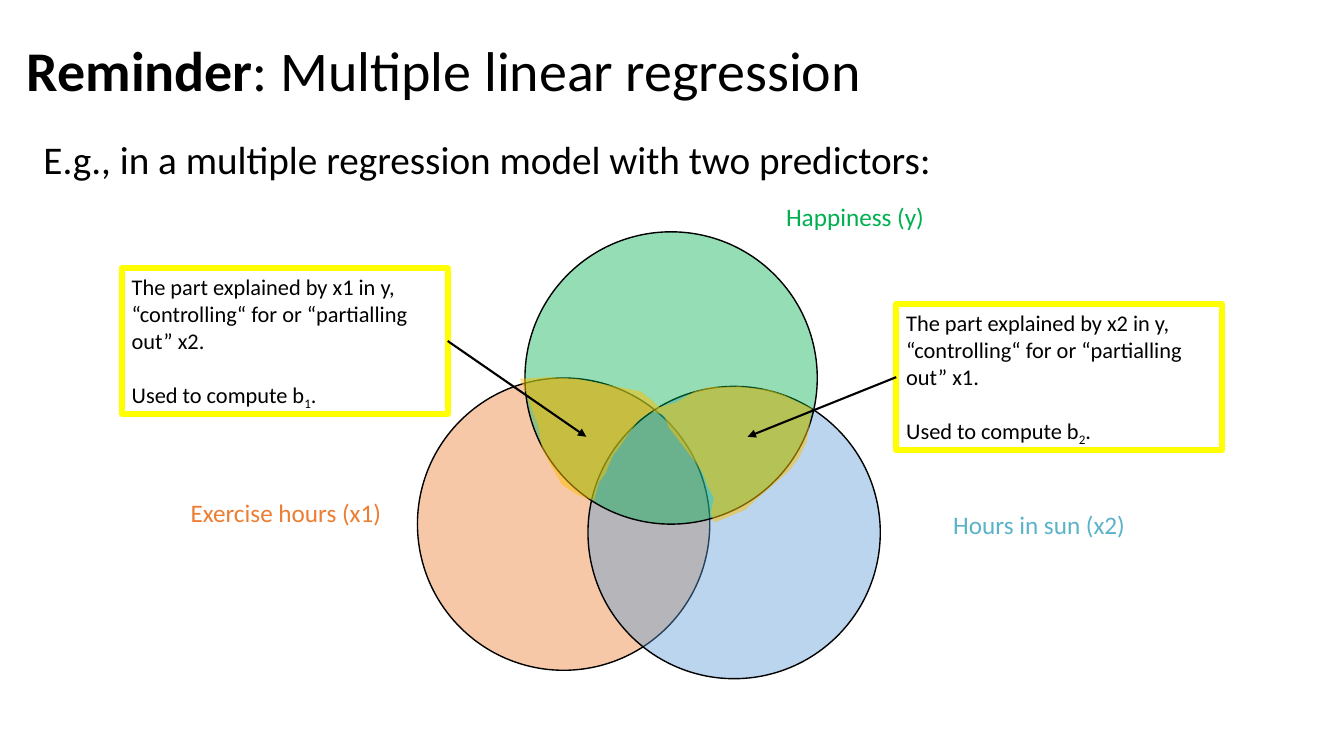
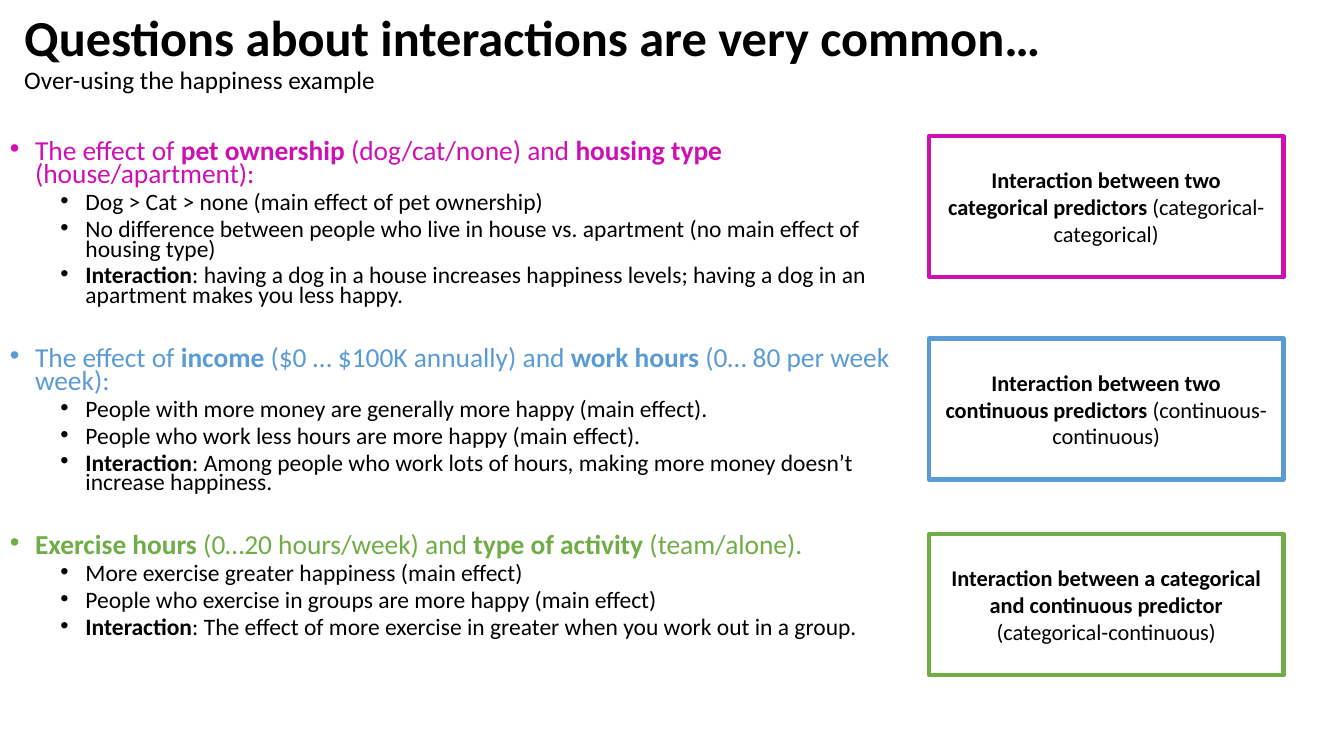
from lxml import etree
from pptx import Presentation
from pptx.dml.color import RGBColor
from pptx.enum.shapes import MSO_CONNECTOR, MSO_SHAPE
from pptx.enum.text import MSO_ANCHOR, PP_ALIGN
from pptx.oxml.ns import qn
from pptx.util import Inches, Pt

OVAL, RECT = MSO_SHAPE.OVAL, MSO_SHAPE.RECTANGLE
STRAIGHT = MSO_CONNECTOR.STRAIGHT
TOP, MIDDLE = MSO_ANCHOR.TOP, MSO_ANCHOR.MIDDLE
LEFT, CENTER = PP_ALIGN.LEFT, PP_ALIGN.CENTER
LEFT_SIDE, RIGHT_SIDE = 1, 3

# The slide is a grid of 160 columns by 90 rows of square cells.
COLUMNS, ROWS = 160, 90
CELL = Inches(1) // 12
FONT = "Calibri"
COLORS = {
    "text": "000000", "paper": "FFFFFF", "frame": "FFFF00", "marker": "FFC000",
    "orange": "ED7D31", "blue": "5B9BD5", "green": "00B050", "teal": "5BB3CA",
    "magenta": "CE10B3", "leaf": "70AD47",
}

DIAMETER = 34.8
# column, row, fill; relative to the Venn diagram's box
CIRCLES = [(0, 17.4, "orange"), (20.3, 18.4, "blue"), (12.8, 0, "green")]
CIRCLE_LABELS = [
    (-28.2, 31, 25.3, "Exercise hours (x1)", "orange"),
    (62.6, 32.4, 23.2, "Hours in sun (x2)", "teal"),
    (42.7, -4.2, 19.1, "Happiness (y)", "green"),
]
HIGHLIGHTS = [
    [(28, 21.4), (29.3, 21.8), (30, 23.4), (30.8, 24.4), (32.3, 26.4),
     (33.2, 27.5), (34, 28.8), (34.6, 30.4), (35.3, 31.7), (34.9, 33.5),
     (35.3, 34.6), (36.6, 34.1), (39, 33.1), (40.4, 31.8), (42.6, 29.9),
     (44.3, 28.4), (45.4, 26.9), (46.3, 25.1), (46.7, 22.8), (46.9, 21),
     (45.2, 20.2), (43.6, 19.4), (41.8, 18.8), (38.3, 18.4), (34.7, 18.5),
     (33, 19), (30.8, 20.3), (28.7, 20.9)],
    [(12.2, 17.5), (15.6, 17.3), (19, 17.5), (22, 18.1), (24.6, 18.6),
     (26.6, 19), (28.2, 20.3), (28.8, 20.9), (27.6, 21.5), (26.4, 22.3),
     (25.3, 23.8), (24.2, 25.4), (23.3, 26.6), (22.4, 28.7), (21.6, 29.9),
     (21, 32), (19, 31.3), (17.2, 30.1), (15.7, 27.5), (14.8, 25.7),
     (14.4, 23), (13.8, 21.6), (13, 19.3)],
]

# Text between ** marks is bold.
TOPICS = [
    ("magenta", 16.2,
     "The effect of **pet ownership **(dog/cat/none) and **housing type **(house/apartment):",
     ["Dog > Cat > none (main effect of pet ownership)",
      "No difference between people who live in house vs. apartment (no main effect of housing type)",
      "**Interaction**: having a dog in a house increases happiness levels; "
      "having a dog in an apartment makes you less happy."],
     "**Interaction between two categorical predictors **(categorical-categorical)"),
    ("blue", 40.3,
     "The effect of **income** ($0 … $100K annually) and **work hours **(0… 80 per week week):",
     ["People with more money are generally more happy (main effect).",
      "People who work less hours are more happy (main effect).",
      "**Interaction**: Among people who work lots of hours, making more money "
      "doesn’t increase happiness."],
     "**Interaction between two continuous predictors **(continuous-continuous)"),
    ("leaf", 63.6,
     "**Exercise hours **(0…20 hours/week) and **type of activity **(team/alone).",
     ["More exercise greater happiness (main effect)",
      "People who exercise in groups are more happy (main effect)",
      "**Interaction**: The effect of more exercise in greater when you work out in a group."],
     "**Interaction between a categorical and continuous predictor **(categorical-continuous)"),
]


def cells(*counts):
    return [round(count * CELL) for count in counts]


def rgb(name):
    return RGBColor.from_string(COLORS[name])


def paint(shape, fill=None, alpha=100, line=None, width=1):
    """Set fill, opacity in percent, and outline; None means no paint."""
    shape.shadow.inherit = False
    if fill:
        shape.fill.solid()
        shape.fill.fore_color.rgb = rgb(fill)
        if alpha < 100:
            color = shape.fill._xPr.find(qn("a:solidFill"))[0]
            etree.SubElement(color, qn("a:alpha"), val=str(alpha * 1000))
    else:
        shape.fill.background()
    if line:
        shape.line.color.rgb = rgb(line)
        shape.line.width = Pt(width)
    else:
        shape.line.fill.background()


def prepare_frame(shape, anchor=TOP, wrap=True):
    frame = shape.text_frame
    frame.word_wrap = wrap
    frame.vertical_anchor = anchor
    return frame


def add_para(frame, text, size, color="text", before=0, spacing=1.0,
             align=LEFT, bullet_indent=None):
    """Fill the frame's empty first paragraph, or append one."""
    para = frame.paragraphs[0]
    if para.runs:
        para = frame.add_paragraph()
        para.space_before = Pt(before)
    if bullet_indent:
        properties = para._p.get_or_add_pPr()
        properties.set("marL", str(Inches(bullet_indent)))
        properties.set("indent", str(-Inches(0.25)))
        etree.SubElement(properties, qn("a:buFont"), typeface="Arial")
        etree.SubElement(properties, qn("a:buChar"), char="•")
    para.alignment = align
    para.line_spacing = spacing
    para.font.name = FONT
    para.font.size = Pt(size)
    para.font.color.rgb = rgb(color)
    for index, part in enumerate(text.split("**")):
        if part:
            span = para.add_run()
            span.text = part
            span.font.bold = index % 2 == 1
    return para


def add_text(page, box, wrap=True, anchor=TOP):
    return prepare_frame(page.shapes.add_textbox(*cells(*box)), anchor, wrap)


def add_title(page, box, text, size, subtitle=None):
    frame = add_text(page, box, anchor=MIDDLE)
    add_para(frame, text, size, spacing=0.9)
    if subtitle:
        add_para(frame, subtitle, 18, spacing=0.9)


def add_venn(page, left, top):
    for column, row, color in CIRCLES:
        circle = page.shapes.add_shape(
            OVAL, *cells(left + column, top + row, DIAMETER, DIAMETER))
        paint(circle, color, 42, "text")
    for column, row, width, text, color in CIRCLE_LABELS:
        frame = add_text(page, (left + column, top + row, width, 4.8), wrap=False)
        add_para(frame, text, 18, color)
    for outline in HIGHLIGHTS:
        points = [tuple(cells(left + x, top + y)) for x, y in outline]
        builder = page.shapes.build_freeform(*points[0])
        builder.add_line_segments(points[1:], close=True)
        paint(builder.convert_to_shape(), "marker", 50)


def add_callout(page, box, explained, controlled, side, tip):
    """Framed note with an arrow from one side to the tip."""
    note = page.shapes.add_shape(RECT, *cells(*box))
    paint(note, line="frame", width=4.5)
    frame = prepare_frame(note)
    add_para(frame, f"The part explained by x{explained} in y, “controlling“ for or "
                    f"“partialling out” x{controlled}.", 16)
    para = add_para(frame, "Used to compute b", 16, before=19.5)
    subscript = para.add_run()
    subscript.text = str(explained)
    subscript.font._element.set("baseline", "-25000")
    para.add_run().text = "."

    arrow = page.shapes.add_connector(STRAIGHT, 0, 0, *cells(*tip))
    arrow.begin_connect(note, side)
    arrow.line.color.rgb = rgb("text")
    arrow.line.width = Pt(1.5)
    etree.SubElement(arrow.line._get_or_add_ln(), qn("a:tailEnd"), type="triangle")
    etree.SubElement(arrow._element.spPr, qn("a:effectLst"))


def add_topic_list(page, box):
    frame = add_text(page, box)
    for color, _, heading, findings, _ in TOPICS:
        add_para(frame, heading, 19.6, color, before=29.3, spacing=0.7,
                 bullet_indent=0.25)
        for finding in findings:
            add_para(frame, finding, 16.8, before=5, spacing=0.7, bullet_indent=0.75)


def add_topic_cards(page, left, width, height):
    for color, top, _, _, summary in TOPICS:
        card = page.shapes.add_shape(RECT, *cells(left, top, width, height))
        paint(card, "paper", line=color, width=3)
        add_para(prepare_frame(card, MIDDLE), summary, 16, align=CENTER)


def build_regression_slide(page):
    add_title(page, (2, 0, 147, 17.4), "**Reminder**: Multiple linear regression", 40)
    frame = add_text(page, (4, 16.1, 150, 7.4))
    add_para(frame, "E.g., in a multiple regression model with two predictors:", 28,
             spacing=0.9)
    add_venn(page, 49.7, 27.6)
    add_callout(page, (14.5, 31.9, 38.8, 17.4), 1, 2, RIGHT_SIDE, (69.8, 52))
    add_callout(page, (106.7, 36.2, 38.8, 17.4), 2, 1, LEFT_SIDE, (89, 52))


def build_interactions_slide(page):
    add_title(page, (1.7, 0, 148, 12.8),
              "**Questions about interactions are very common…**", 36,
              "Over-using the happiness example")
    add_topic_list(page, (0, 16.3, 107.3, 70.6))
    add_topic_cards(page, 110.6, 42.2, 16.8)


def main():
    deck = Presentation()
    deck.slide_width, deck.slide_height = cells(COLUMNS, ROWS)
    blank = deck.slide_layouts[6]
    for build in (build_regression_slide, build_interactions_slide):
        build(deck.slides.add_slide(blank))
    deck.save("out.pptx")


if __name__ == "__main__":
    main()
